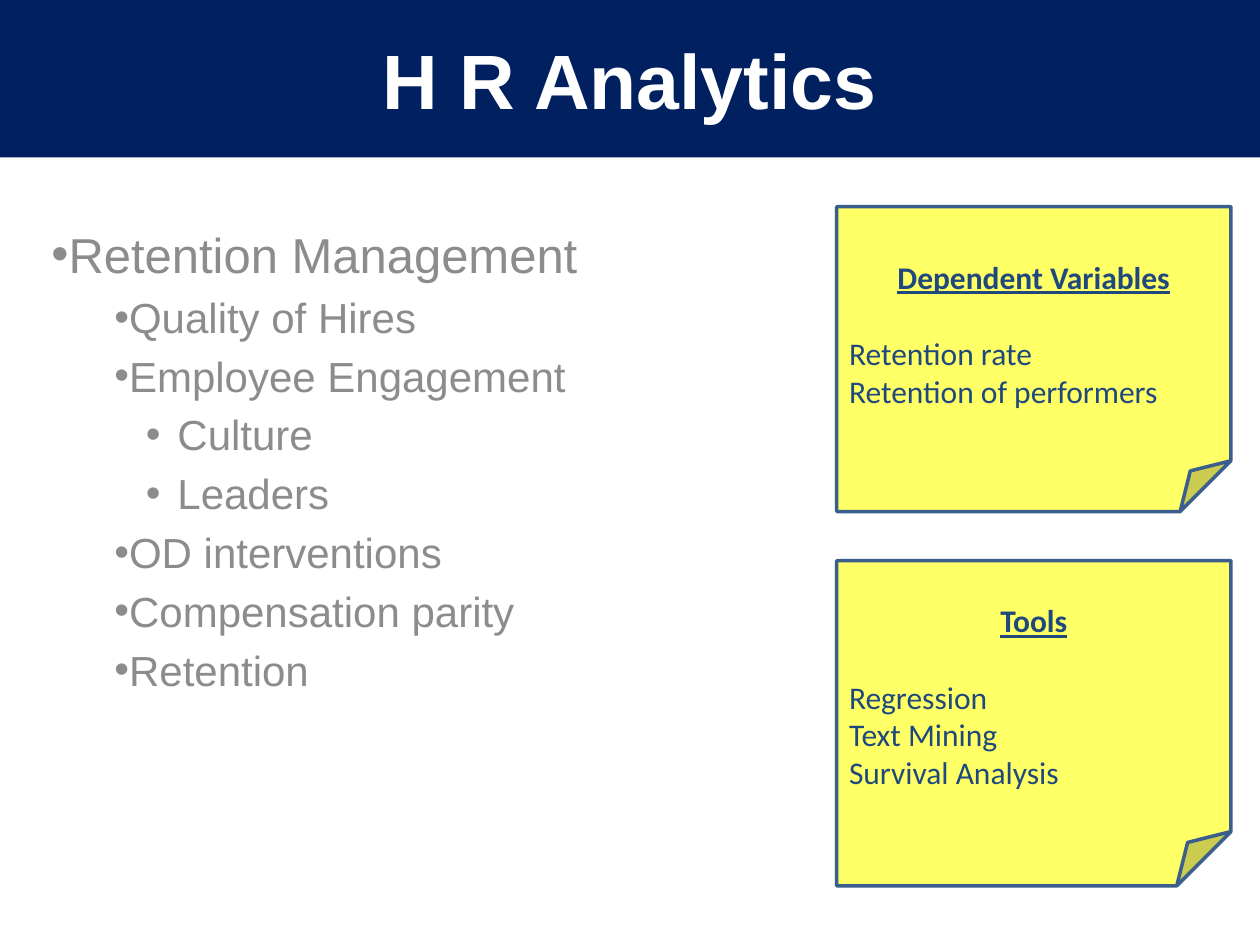
import pptx
import pptx.util
import pptx.dml.color
import pptx.enum.shapes
import pptx.enum.text
import pptx.oxml.ns
import lxml.etree

Inches = pptx.util.Inches
Pt = pptx.util.Pt
SHAPE = pptx.enum.shapes.MSO_SHAPE
ALIGN = pptx.enum.text.PP_ALIGN
ANCHOR = pptx.enum.text.MSO_ANCHOR

COLORS = {"navy": "002060", "white": "FFFFFF", "gray": "8C8C8C",
          "yellow": "FFFF66", "edge": "3A5F8C", "ink": "1F497D"}


def rgb(name):
    return pptx.dml.color.RGBColor.from_string(COLORS[name])


def write(text, frame, size, font, color, bold=False, under=False,
          align=ALIGN.LEFT, before=0, after=0, bullet=None):
    """Add a paragraph; bullet is (level, left margin, indent) in inches."""
    para = frame.paragraphs[0]
    if para.runs:
        para = frame.add_paragraph()
    para.alignment = align
    para.space_before, para.space_after = Pt(before), Pt(after)
    run = para.add_run()
    run.text = text
    run.font.size, run.font.name = Pt(size), font
    run.font.bold, run.font.underline = bold, under
    run.font.color.rgb = rgb(color)
    if bullet:
        level, left, indent = bullet
        para.level = level
        props = para._p.get_or_add_pPr()
        props.set("marL", str(Inches(left)))
        props.set("indent", str(Inches(indent)))
        face = lxml.etree.SubElement(props, pptx.oxml.ns.qn("a:buFont"))
        face.set("typeface", font)
        mark = lxml.etree.SubElement(props, pptx.oxml.ns.qn("a:buChar"))
        mark.set("char", "•")


deck = pptx.Presentation()
deck.slide_width, deck.slide_height = Inches(10), Inches(7.5)
slide = deck.slides.add_slide(deck.slide_layouts[6])

# Title band
band = slide.shapes.add_shape(SHAPE.RECTANGLE, 0, 0, Inches(10), Inches(1.25))
band.shadow.inherit = False
band.fill.solid()
band.fill.fore_color.rgb = rgb("navy")
band.line.fill.background()
band.text_frame.vertical_anchor = ANCHOR.MIDDLE
write("H R Analytics", band.text_frame, size=44, font="Arial", color="white",
      bold=True, align=ALIGN.CENTER)

# Topic list, each line spaced by a fifth of its text size
box = slide.shapes.add_textbox(Inches(0.31), Inches(1.73), Inches(5.69), Inches(4.6))
box.text_frame.word_wrap = True
levels = [(0, 0, 0), (1, 0.5, 0), (2, 1, -0.25)]
topics = [("Retention Management", 0), ("Quality of Hires", 1),
          ("Employee Engagement", 1), ("Culture", 2), ("Leaders", 2),
          ("OD interventions", 1), ("Compensation parity", 1), ("Retention", 1)]
for topic, level in topics:
    size = 24 if level else 28
    write(topic, box.text_frame, size=size, font="Arial", color="gray",
          before=size * 0.2, bullet=levels[level])

# Sticky notes
notes = [
    (1.64, 2.42, "Dependent Variables", ["Retention rate", "Retention of performers"]),
    (4.45, 2.58, "Tools", ["Regression", "Text Mining", "Survival Analysis"]),
]
for top, height, head, lines in notes:
    note = slide.shapes.add_shape(SHAPE.FOLDED_CORNER, Inches(6.64), Inches(top),
                                  Inches(3.13), Inches(height))
    note.shadow.inherit = False
    note.fill.solid()
    note.fill.fore_color.rgb = rgb("yellow")
    note.line.color.rgb = rgb("edge")
    note.line.width = Pt(2)
    frame = note.text_frame
    frame.word_wrap = True
    frame.vertical_anchor = ANCHOR.MIDDLE
    write(head, frame, size=18, font="Calibri", color="ink", bold=True,
          under=True, align=ALIGN.CENTER, after=22)
    for line in lines:
        write(line, frame, size=18, font="Calibri", color="ink")

deck.save("out.pptx")
